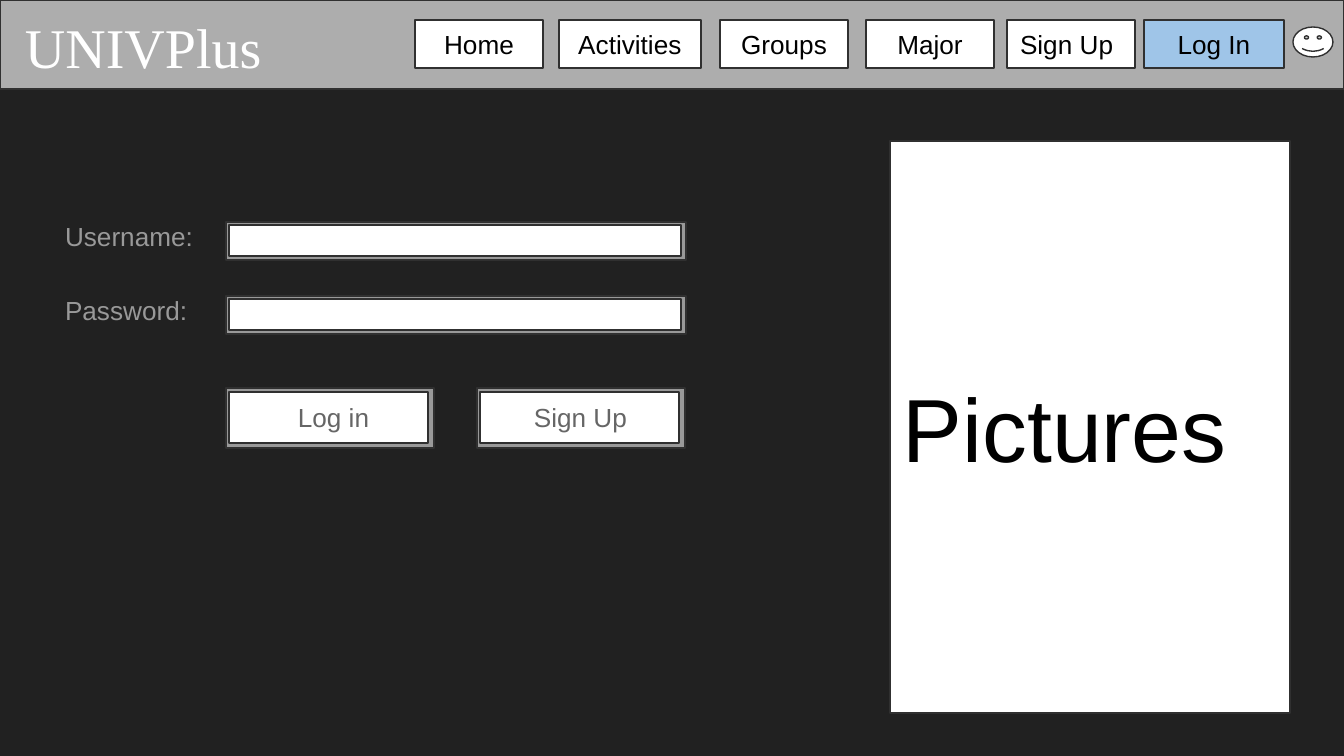
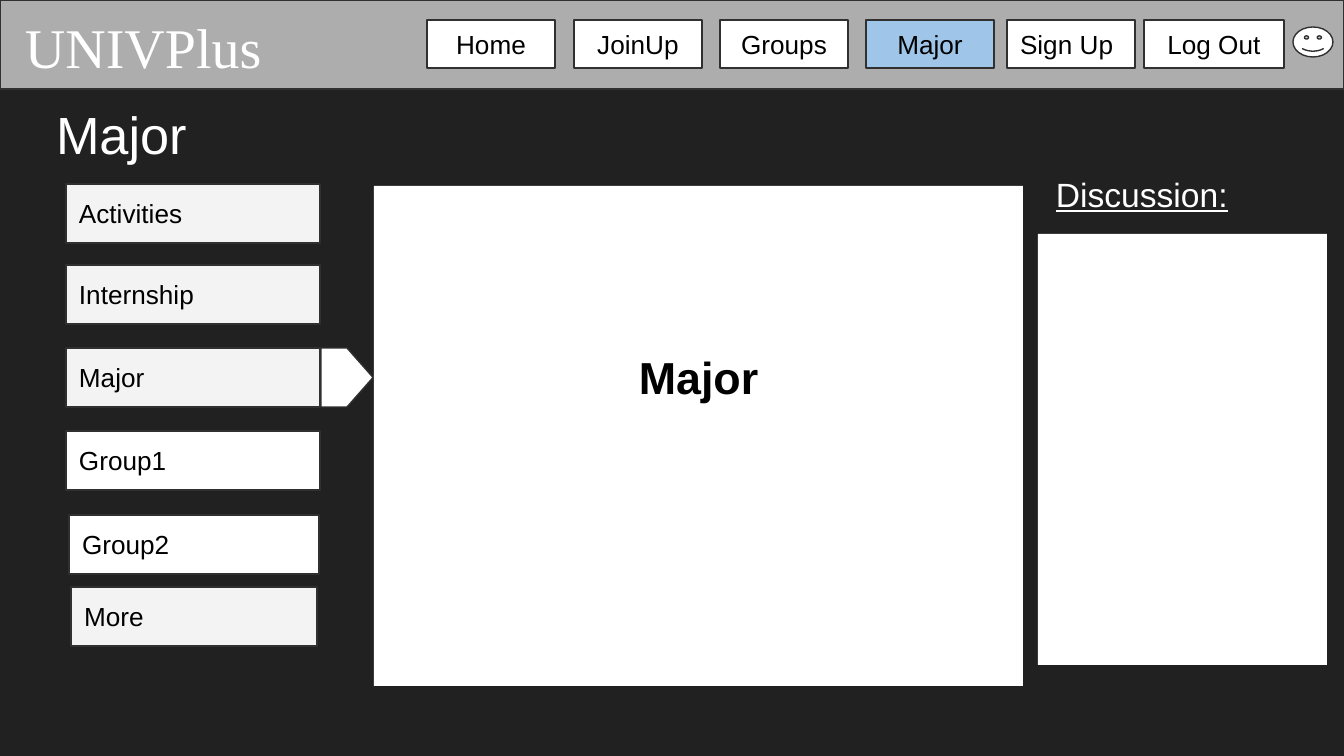
from pptx import Presentation
from pptx.dml.color import RGBColor
from pptx.enum.shapes import MSO_SHAPE
from pptx.enum.text import MSO_ANCHOR, MSO_AUTO_SIZE, PP_ALIGN
from pptx.util import Pt

RECT, SMILE, ARROW = MSO_SHAPE.RECTANGLE, MSO_SHAPE.SMILEY_FACE, MSO_SHAPE.PENTAGON
TOP, MID = MSO_ANCHOR.TOP, MSO_ANCHOR.MIDDLE
LEFT, MIDST = PP_ALIGN.LEFT, PP_ALIGN.CENTER
FIXED = MSO_AUTO_SIZE.NONE
SCALE = 914400 / 134.4
PAD = 13

COLOR = {
    "back": "212121", "band": "ADADAD", "edge": "303030", "white": "FFFFFF",
    "black": "000000", "frame": "999999", "dim": "666666", "pale": "F3F3F3",
    "live": "9FC5E8",
}

BRAND = "UNIVPlus"
NAV = {
    "login": [("Home", 415, 128), ("Activities", 559, 142), ("Groups", 720, 128),
              ("Major", 866, 128), ("Sign Up", 1007, 128), ("Log In", 1144, 140)],
    "major": [("Home", 427, 128), ("JoinUp", 574, 128), ("Groups", 720, 128),
              ("Major", 866, 128), ("Sign Up", 1007, 128), ("Log Out", 1144, 140)],
}
FIELDS = [("Username:", 222), ("Password:", 296)]
BUTTONS = [("Log in", 226, 8), ("Sign Up", 477, 4)]
MENU = [
    ("Activities", 66, 184, 254, "pale"),
    ("Internship", 66, 265, 254, "pale"),
    ("Major", 66, 348, 254, "pale"),
    ("Group1", 66, 431, 254, "white"),
    ("Group2", 69, 515, 250, "white"),
    ("More", 71, 587, 246, "pale"),
]
ROW = 59


def emu(px):
    return round(px * SCALE)


def rgb(name):
    return RGBColor.from_string(COLOR[name])


def place(shape, box):
    shape.left, shape.top, shape.width, shape.height = map(emu, box)


def write(shape, text, size=14, color="black", font="Arial", align=LEFT,
          anchor=MID, bold=False, under=False, top=PAD):
    frame = shape.text_frame
    frame.word_wrap = True
    frame.auto_size = FIXED
    frame.vertical_anchor = anchor
    frame.margin_left = frame.margin_right = frame.margin_bottom = emu(PAD)
    frame.margin_top = emu(top)
    para = frame.paragraphs[0]
    para.alignment = align
    run = para.add_run()
    run.text = text
    face = run.font
    face.name, face.size = font, Pt(size)
    face.bold, face.underline = bold, under
    face.color.rgb = rgb(color)


def draw(slide, box, fill="white", edge=True, kind=RECT):
    shape = slide.shapes.add_shape(kind, *map(emu, box))
    shape.shadow.inherit = False
    shape.fill.solid()
    shape.fill.fore_color.rgb = rgb(fill)
    if edge:
        shape.line.color.rgb = rgb("edge")
        shape.line.width = Pt(0.75)
    else:
        shape.line.fill.background()
    return shape


def label(slide, box, text, **style):
    area = slide.shapes.add_textbox(*map(emu, box))
    write(area, text, anchor=TOP, **style)


def start(deck, layout):
    slide = deck.slides.add_slide(deck.slide_layouts[layout])
    slide.background.fill.solid()
    slide.background.fill.fore_color.rgb = rgb("back")
    return slide


def header(slide, page, live):
    draw(slide, (0, 0, 1344, 89), "band")
    for text, x, wide in NAV[page]:
        tab = draw(slide, (x, 20, wide, 48), "live" if text == live else "white")
        write(tab, text, align=LEFT if text == "Sign Up" else MIDST)
    label(slide, (12, 0, 476, 101), BRAND, size=30, color="white",
          font="Times New Roman")
    face = draw(slide, (1293, 27, 40, 30), kind=SMILE)
    face.adjustments[0] = 0.047


def login(deck):
    slide = start(deck, 6)
    for text, y in FIELDS:
        draw(slide, (226, y, 460, 38), "frame")
        draw(slide, (229, y + 3, 452, 31))
        label(slide, (52, y - 15, 177, 51), text, color="frame")
    for text, x, shift in BUTTONS:
        draw(slide, (x, 388, 208, 60), "frame")
        draw(slide, (x + 3, 392, 199, 51))
        label(slide, (x + shift, 388, 199, 51), text, color="dim", align=MIDST)
    write(draw(slide, (890, 141, 400, 572)), "Pictures", size=48)
    header(slide, "login", "Log In")


def major(deck):
    slide = start(deck, 5)
    title = slide.shapes.title
    place(title, (43, 89, 1255, 73))
    write(title, "Major", size=28, color="white", anchor=TOP)
    for text, x, y, wide, fill in MENU:
        write(draw(slide, (x, y, wide, ROW), fill), text)
        if text == "Major":
            draw(slide, (321, y, 52, ROW), kind=ARROW)
    main = draw(slide, (374, 186, 649, 500), edge=False)
    write(main, "Major", size=24, bold=True, align=MIDST, anchor=TOP, top=164)
    draw(slide, (1038, 234, 289, 431), edge=False)
    label(slide, (1043, 161, 271, ROW), "Discussion:", size=18, color="white",
          under=True)
    header(slide, "major", "Major")


def main():
    deck = Presentation()
    deck.slide_width, deck.slide_height = emu(1344), emu(756)
    login(deck)
    major(deck)
    deck.save("out.pptx")


if __name__ == "__main__":
    main()
